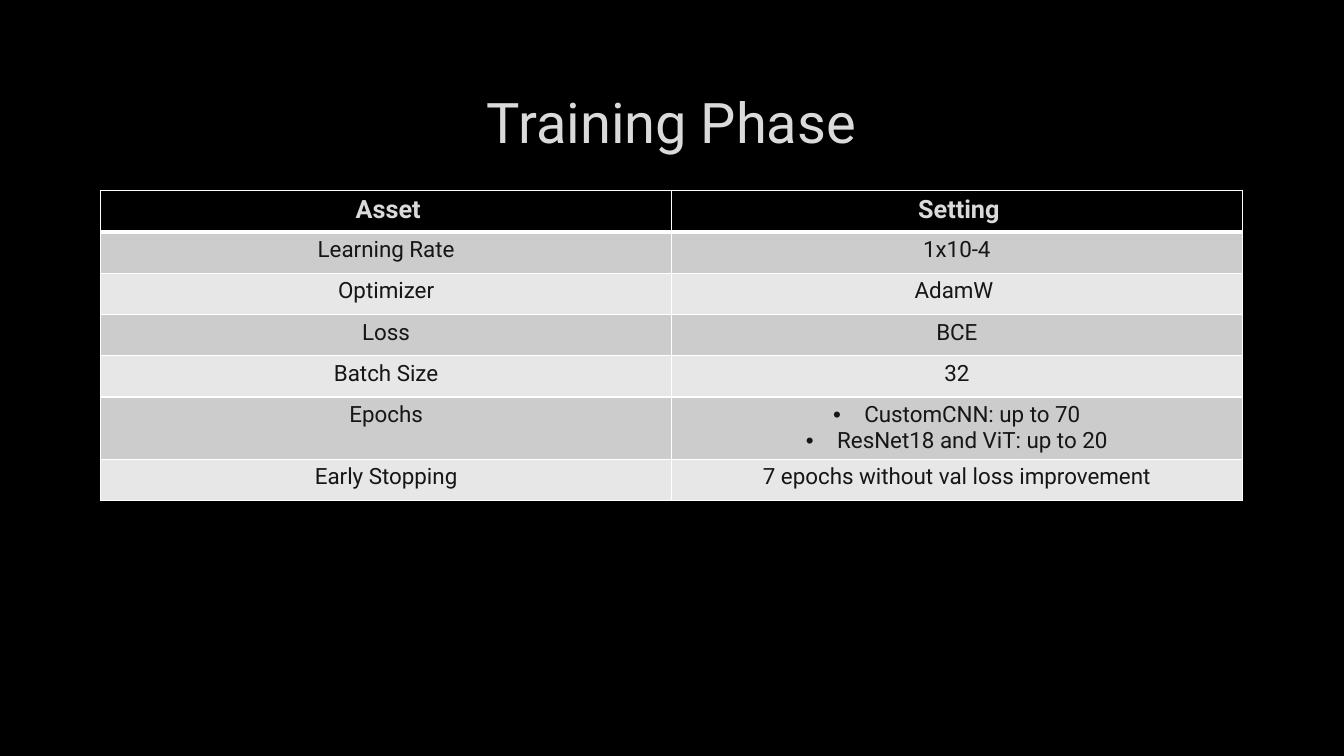
from lxml import etree
from pptx import Presentation
from pptx.dml.color import RGBColor
from pptx.enum.text import MSO_ANCHOR, PP_ALIGN
from pptx.oxml.ns import qn
from pptx.util import Inches, Pt

CENTER = PP_ALIGN.CENTER
MIDDLE = MSO_ANCHOR.MIDDLE
FONT = "Roboto"
BLACK, WHITE, LIGHT_TEXT, DARK_TEXT = "000000", "FFFFFF", "DADADA", "161616"
BANDS = ["E7E7E7", "CCCCCC"]
ROW_HEIGHT, EPOCHS_HEIGHT = 0.41, 0.61

SETTINGS = [
    ("Asset", "Setting"),
    ("Learning Rate", "1x10-4"),
    ("Optimizer", "AdamW "),
    ("Loss", "BCE"),
    ("Batch Size", "32"),
    ("Epochs", "CustomCNN: up to 70\nResNet18 and ViT: up to 20"),
    ("Early Stopping", "7 epochs without val loss improvement"),
]


def format_paragraph(paragraph, size, color, bold=False):
    paragraph.alignment = CENTER
    for run in paragraph.runs:
        run.font.name = FONT
        run.font.size = Pt(size)
        run.font.bold = bold
        run.font.color.rgb = RGBColor.from_string(color)


def set_borders(cell, bottom_width, top_width):
    """Draw white cell borders; widths are in points, the sides are 1 pt."""
    properties = cell._tc.get_or_add_tcPr()
    widths = {"lnL": 1, "lnR": 1, "lnT": top_width, "lnB": bottom_width}
    for position, (tag, width) in enumerate(widths.items()):
        line = etree.Element(qn(f"a:{tag}"), w=str(Pt(width)))
        fill = etree.SubElement(line, qn("a:solidFill"))
        etree.SubElement(fill, qn("a:srgbClr"), val=WHITE)
        properties.insert(position, line)


presentation = Presentation()
presentation.slide_width = Inches(13.33)
presentation.slide_height = Inches(7.5)
slide = presentation.slides.add_slide(presentation.slide_layouts[5])
slide.background.fill.solid()
slide.background.fill.fore_color.rgb = RGBColor.from_string(BLACK)

title = slide.shapes.title
title.left, title.top = Inches(1), Inches(0.67)
title.width, title.height = Inches(11.32), Inches(1.06)
title.text_frame.text = "Training Phase"
title.text_frame.vertical_anchor = MIDDLE
format_paragraph(title.text_frame.paragraphs[0], 40, LIGHT_TEXT)

table = slide.shapes.add_table(
    len(SETTINGS), 2, Inches(1), Inches(1.89), Inches(11.32), Inches(3.07)
).table

for row_index, values in enumerate(SETTINGS):
    is_header = row_index == 0
    is_epochs = values[0] == "Epochs"
    table.rows[row_index].height = Inches(EPOCHS_HEIGHT if is_epochs else ROW_HEIGHT)
    for column_index, value in enumerate(values):
        cell = table.cell(row_index, column_index)
        cell.text_frame.text = value
        cell.fill.solid()
        cell.fill.fore_color.rgb = RGBColor.from_string(
            BLACK if is_header else BANDS[row_index % 2]
        )
        set_borders(cell, 3 if is_header else 1, 3 if row_index == 1 else 1)
        paragraphs = cell.text_frame.paragraphs
        for paragraph in paragraphs:
            properties = paragraph._p.get_or_add_pPr()
            if is_header:
                format_paragraph(paragraph, 18, LIGHT_TEXT, bold=True)
                properties.set("marL", str(Inches(0.04)))
            else:
                format_paragraph(paragraph, 16, DARK_TEXT)
            if len(paragraphs) > 1:
                properties.set("marL", str(Inches(0.31)))
                properties.set("indent", str(Inches(-0.31)))
                etree.SubElement(properties, qn("a:buFont"), typeface="Arial")
                etree.SubElement(properties, qn("a:buChar"), char="•")

presentation.save("out.pptx")
